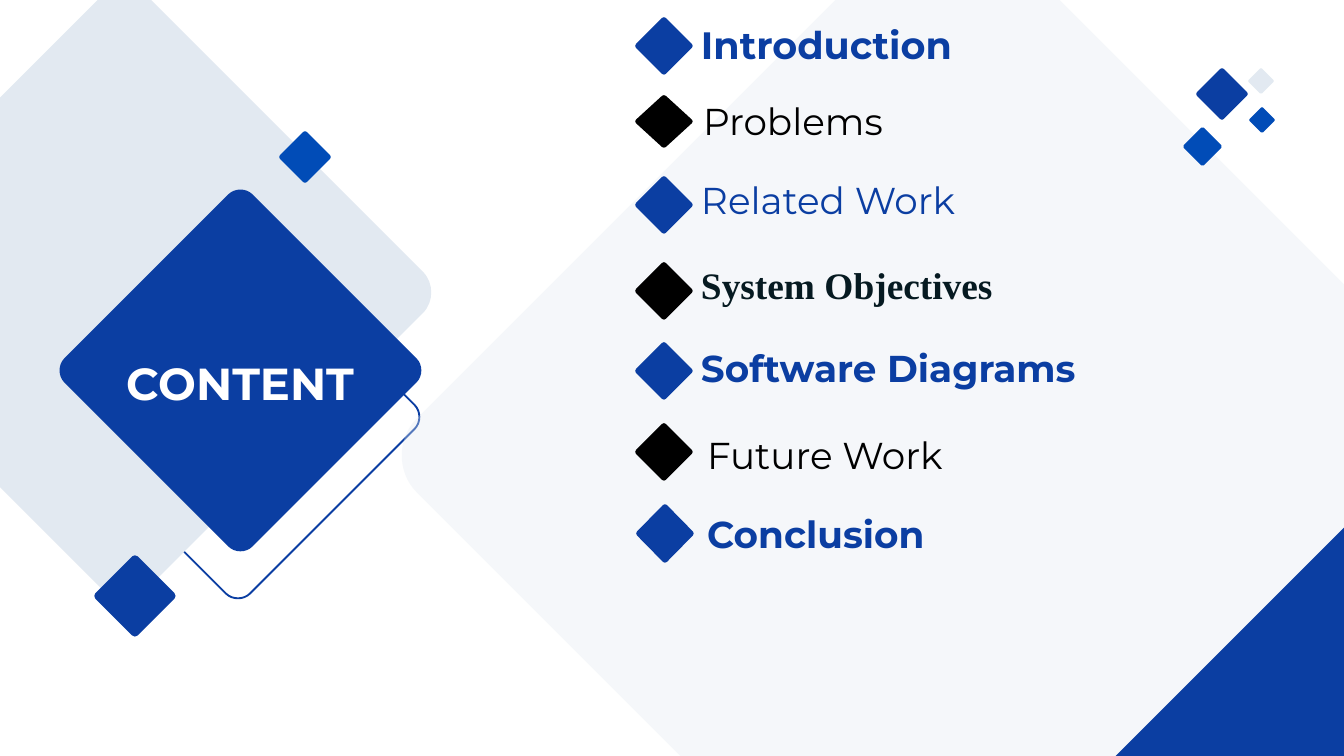
from dataclasses import dataclass

from lxml.etree import SubElement
from pptx import Presentation
from pptx.dml.color import RGBColor
from pptx.enum.text import MSO_ANCHOR as Anchor, MSO_AUTO_SIZE as AutoSize, PP_ALIGN as Align
from pptx.oxml import parse_xml
from pptx.oxml.ns import nsdecls, qn
from pptx.util import Pt

SCALE = 9144000 / 1344
NAVY, BLUE, MIST, BLACK, INK, WHITE = "0B3EA2", "014CB7", "E2E9F1", "000000", "061A21", "FFFFFF"
SHOULDER, BEND, INSET = 0.033, 0.015, 0.0175


@dataclass
class Topic:
    """One line of the contents list, placed relative to the list."""

    label: str
    color: str
    marker: tuple
    box: tuple
    bold: bool = False
    size: float = 20
    font: str = "Montserrat"
    inset: tuple = (52, 0)
    ink: str = ""


TOPICS = [
    Topic("Introduction", NAVY, (0, 0, 58, 58), (14, 8, 437, 42), bold=True, size=20.4),
    Topic("Problems", BLACK, (0, 78, 58, 53), (16, 79, 437, 47)),
    Topic("Related Work", NAVY, (0, 159, 58, 58), (14, 155, 437, 50)),
    Topic("System Objectives", BLACK, (0, 245, 58, 58), (14, 252, 617, 38), bold=True,
          font="Times New Roman", ink=INK),
    Topic("Software Diagrams", NAVY, (0, 325, 58, 58), (14, 346, 437, 27), bold=True),
    Topic("Future Work", BLACK, (0, 406, 58, 58), (59, 408, 918, 59), inset=(13, 7)),
    Topic("Conclusion", NAVY, (1, 487, 58, 59), (20, 493, 437, 46), bold=True),
]


def px(length):
    """Turn px into EMU."""
    return round(length * SCALE)


def rgb(color):
    """Turn a hex string into a colour."""
    return RGBColor.from_string(color)


def diamond_outline():
    """Return four curve points for each corner of a unit diamond centred on zero."""
    corner = [(-SHOULDER, INSET - 0.5), (-BEND, -0.5), (BEND, -0.5), (SHOULDER, INSET - 0.5)]
    points = []
    for _ in range(4):
        points += corner
        corner = [(-y, x) for x, y in corner]
    return points


def round_corners(diamond):
    """Turn the three segments at each corner into one curve."""
    outline = next(diamond.element.spPr.iter(qn("a:path")))
    segments = outline.findall(qn("a:lnTo"))
    for start in range(0, len(segments), 4):
        curve = parse_xml(f"<a:cubicBezTo {nsdecls('a')}/>")
        segments[start].addprevious(curve)
        for segment in segments[start:start + 3]:
            curve.append(segment[0])
            outline.remove(segment)


def add_diamond(slide, left, top, width, height, fill=None, line=None, alpha=None):
    """Draw a rounded diamond in the given box."""
    points = [(px(left + width * (0.5 + x)), px(top + height * (0.5 + y)))
              for x, y in diamond_outline()]
    builder = slide.shapes.build_freeform(*points[0])
    builder.add_line_segments(points[1:], close=True)
    diamond = builder.convert_to_shape()
    round_corners(diamond)
    diamond.shadow.inherit = False
    if fill:
        diamond.fill.solid()
        diamond.fill.fore_color.rgb = rgb(fill)
    else:
        diamond.fill.background()
    if line:
        diamond.line.color.rgb = rgb(line)
        diamond.line.width = Pt(1)
    else:
        diamond.line.fill.background()
    if alpha:
        tint = diamond.element.spPr.find(qn("a:solidFill")).find(qn("a:srgbClr"))
        SubElement(tint, qn("a:alpha"), val=str(alpha * 1000))


def format_text(frame, text, size, color, bold, font="Montserrat"):
    """Write one line of text and format it."""
    frame.text = text
    frame.auto_size = AutoSize.NONE
    frame.word_wrap = False
    run_font = frame.paragraphs[0].runs[0].font
    run_font.name, run_font.size, run_font.bold = font, Pt(size), bold
    run_font.color.rgb = rgb(color)


def add_backdrop(slide, left, top):
    """Place the large diamonds behind the content."""
    add_diamond(slide, left + 55, top + 234, 366, 366, line=NAVY)
    add_diamond(slide, left + 397, top - 95, 1101, 1101, fill=MIST, alpha=34)
    add_diamond(slide, left - 185, top - 17, 619, 619, fill=MIST)
    add_diamond(slide, left + 1085, top + 511, 569, 569, fill=NAVY)


def add_diamonds(slide, left, top, parts):
    """Place filled diamonds relative to a corner."""
    for x, y, size, color in parts:
        add_diamond(slide, left + x, top + y, size, size, fill=color)


def add_emblem(slide, left, top):
    """Place the title on its diamond with two accents."""
    add_diamonds(slide, left, top, [(0, 57, 365, NAVY), (221, 0, 52, BLUE), (36, 424, 82, NAVY)])
    title = slide.shapes.title
    title.element.getparent().append(title.element)
    title.left, title.top = px(left + 62), px(top + 218)
    title.width, title.height = px(240), px(44)
    frame = title.text_frame
    format_text(frame, "CONTENT", 24, WHITE, True)
    frame.margin_left = frame.margin_right = 0
    frame.vertical_anchor = Anchor.TOP
    frame.paragraphs[0].alignment = Align.CENTER
    frame.paragraphs[0].line_spacing = 1.0


def add_cluster(slide, left, top):
    """Place the group of small diamonds."""
    add_diamonds(slide, left, top, [(13, 0, 52, NAVY), (0, 59, 39, BLUE),
                                    (66, 39, 26, BLUE), (65, 0, 26, MIST)])


def add_contents(slide, left, top):
    """Place the topics with their markers."""
    for topic in TOPICS:
        x, y, width, height = topic.marker
        add_diamond(slide, left + x, top + y, width, height, fill=topic.color)
        x, y, width, height = topic.box
        label = slide.shapes.add_textbox(px(left + x), px(top + y), px(width), px(height))
        frame = label.text_frame
        format_text(frame, topic.label, topic.size, topic.ink or topic.color, topic.bold, topic.font)
        frame.vertical_anchor = Anchor.BOTTOM
        frame.margin_left, frame.margin_right = px(topic.inset[0]), 0
        frame.margin_top = frame.margin_bottom = px(topic.inset[1])
        frame.paragraphs[0].alignment = Align.LEFT


def main():
    """Build the contents slide."""
    deck = Presentation()
    deck.slide_width, deck.slide_height = px(1344), px(756)
    slide = deck.slides.add_slide(deck.slide_layouts[5])
    slide.background.fill.solid()
    slide.background.fill.fore_color.rgb = rgb(WHITE)
    add_backdrop(slide, 0, 0)
    add_emblem(slide, 58, 131)
    add_cluster(slide, 1183, 68)
    add_contents(slide, 635, 17)
    deck.save("out.pptx")


if __name__ == "__main__":
    main()
